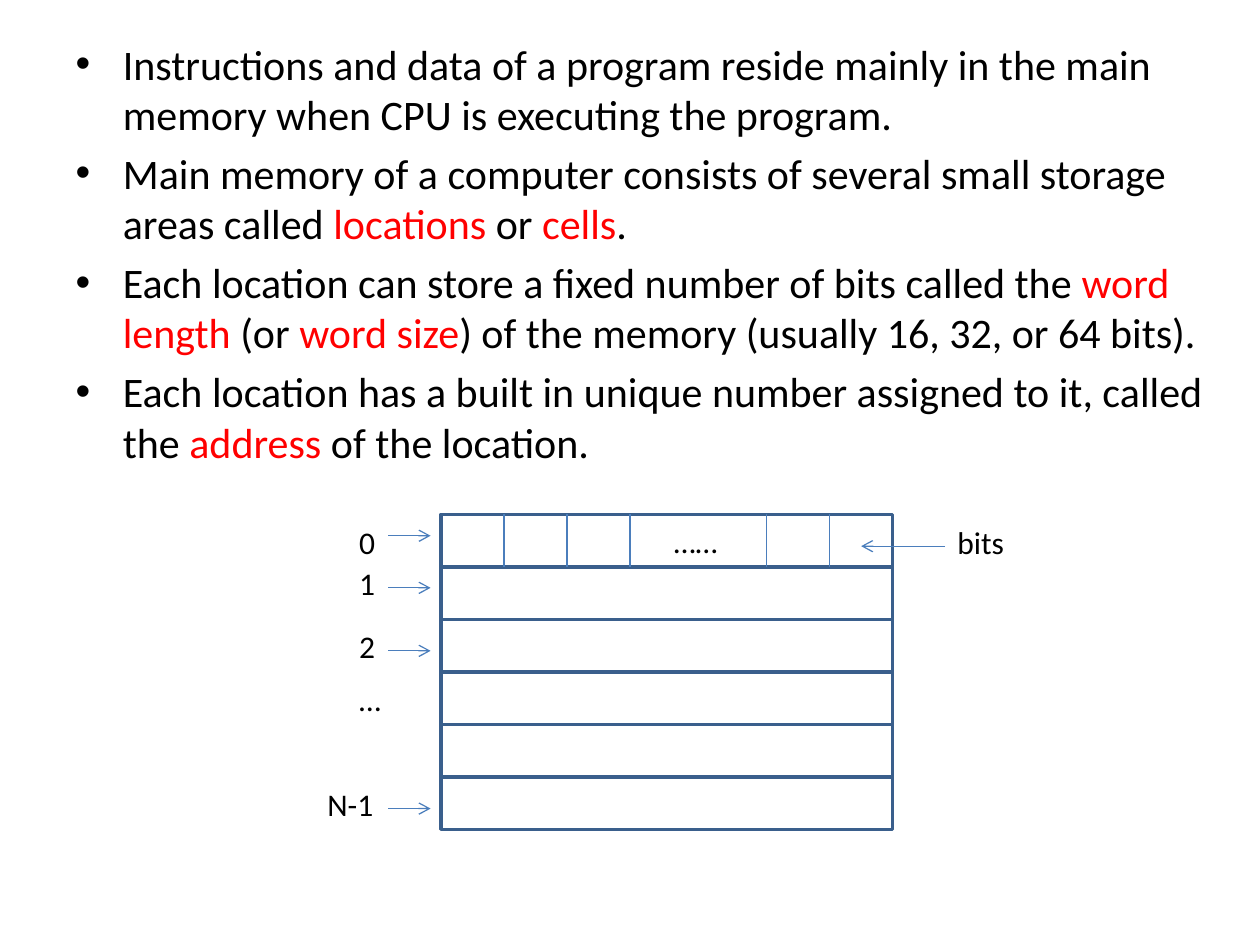
from dataclasses import dataclass

from pptx import Presentation
from pptx.dml.color import RGBColor
from pptx.enum.shapes import MSO_CONNECTOR as Connector, MSO_SHAPE as Shape
from pptx.enum.text import MSO_ANCHOR as Anchor, PP_ALIGN as Align
from pptx.oxml.ns import qn
from pptx.util import Cm, Pt
from lxml.etree import SubElement


@dataclass(frozen=True)
class Theme:
    """Colours and type sizes of the slide."""
    font: str = "Calibri"
    text: str = "000000"
    accent: str = "FF0000"
    paper: str = "FFFFFF"
    border: str = "3A5F8C"
    line: str = "4B7EBC"
    body_size: int = 24
    label_size: int = 18


THEME = Theme()

# Each bullet is a list of (text, is key term) runs.
BULLETS = [
    [("Instructions and data of a program reside mainly in the main memory "
      "when CPU is executing the program.", False)],
    [("Main memory of a computer consists of several small storage areas called ", False),
     ("locations", True), (" or ", False), ("cells", True), (".", False)],
    [("Each location can store a fixed number of bits called the ", False),
     ("word length", True), (" (or ", False), ("word size", True),
     (") of the memory (usually 16, 32, or 64 bits).", False)],
    [("Each location has a built in unique number assigned to it, called the ", False),
     ("address ", True), ("of the location.", False)],
]

# Text, left, top, width in centimetres.
LABELS = [
    ("0", 6.99, 10.41, 0.85),
    ("1", 6.99, 11.25, 0.85),
    ("2", 6.99, 12.52, 0.85),
    ("…", 6.99, 13.59, 0.85),
    ("N-1", 6.35, 15.7, 1.48),
    ("bits", 19.05, 10.41, 1.48),
]
LABEL_HEIGHT = 1.03

MEMORY_LEFT, MEMORY_TOP, MEMORY_WIDTH, MEMORY_HEIGHT = 8.89, 10.37, 9.1, 6.35
LOCATION_COUNT = 6
LOCATION_HEIGHT = MEMORY_HEIGHT / LOCATION_COUNT
BIT_WIDTH = 1.27
BITS_BEFORE_GAP, BITS_AFTER_GAP = 3, 2
GAP_RIGHT = 15.45
ADDRESS_ARROW_TOPS = [10.8, 11.85, 13.12, 16.3]
ADDRESS_ARROW_LEFT, ADDRESS_ARROW_RIGHT = 7.83, 8.68
BITS_ARROW = (19.05, 11.01, 17.36, 11.01)


def write(paragraph, text, size=THEME.label_size, color=THEME.text, align=None):
    """Append a formatted run to a paragraph."""
    run = paragraph.add_run()
    run.text = text
    run.font.name = THEME.font
    run.font.size = Pt(size)
    run.font.color.rgb = RGBColor.from_string(color)
    if align is not None:
        paragraph.alignment = align


def fill_body(slide):
    """Put the bullets in the body placeholder and drop the unused title."""
    title = slide.shapes.title.element
    title.getparent().remove(title)
    body = slide.placeholders[1]
    body.left, body.top, body.width, body.height = Cm(1.27), Cm(0.64), Cm(23.28), Cm(17.57)
    frame = body.text_frame
    for index, runs in enumerate(BULLETS):
        paragraph = frame.add_paragraph() if index else frame.paragraphs[0]
        for text, is_term in runs:
            write(paragraph, text, size=THEME.body_size,
                  color=THEME.accent if is_term else THEME.text)


def add_location(slide, index):
    """Draw one memory location and return its shape."""
    shape = slide.shapes.add_shape(
        Shape.RECTANGLE, Cm(MEMORY_LEFT), Cm(MEMORY_TOP + index * LOCATION_HEIGHT),
        Cm(MEMORY_WIDTH), Cm(LOCATION_HEIGHT))
    shape.shadow.inherit = False
    shape.fill.solid()
    shape.fill.fore_color.rgb = RGBColor.from_string(THEME.paper)
    shape.line.color.rgb = RGBColor.from_string(THEME.border)
    shape.line.width = Pt(2)
    return shape


def add_line(slide, x1, y1, x2, y2, arrow=False):
    """Draw a thin line, with an open arrowhead at its end if wanted."""
    line = slide.shapes.add_connector(Connector.STRAIGHT, Cm(x1), Cm(y1), Cm(x2), Cm(y2))
    line.line.color.rgb = RGBColor.from_string(THEME.line)
    line.line.width = Pt(0.75)
    if arrow:
        SubElement(line.line._get_or_add_ln(), qn("a:tailEnd"), type="arrow")
    SubElement(line.element.spPr, qn("a:effectLst"))


def add_label(slide, text, left, top, width):
    """Place a label beside the memory."""
    box = slide.shapes.add_textbox(Cm(left), Cm(top), Cm(width), Cm(LABEL_HEIGHT))
    box.text_frame.word_wrap = True
    write(box.text_frame.paragraphs[0], text)


def draw_memory(slide):
    """Draw the locations, and split the first one into bits."""
    locations = [add_location(slide, index) for index in range(LOCATION_COUNT)]
    frame = locations[0].text_frame
    frame.vertical_anchor = Anchor.MIDDLE
    frame.margin_left = Cm(1.42)
    write(frame.paragraphs[0], "……", align=Align.CENTER)
    dividers = [MEMORY_LEFT + BIT_WIDTH * (n + 1) for n in range(BITS_BEFORE_GAP)]
    dividers += [GAP_RIGHT + BIT_WIDTH * n for n in range(BITS_AFTER_GAP)]
    for x in dividers:
        add_line(slide, x, MEMORY_TOP, x, MEMORY_TOP + LOCATION_HEIGHT)


def main():
    """Build and save the slide."""
    presentation = Presentation()
    presentation.slide_width, presentation.slide_height = Cm(25.4), Cm(19.05)
    slide = presentation.slides.add_slide(presentation.slide_layouts[1])
    fill_body(slide)
    draw_memory(slide)
    for label in LABELS:
        add_label(slide, *label)
    for y in ADDRESS_ARROW_TOPS:
        add_line(slide, ADDRESS_ARROW_LEFT, y, ADDRESS_ARROW_RIGHT, y, arrow=True)
    add_line(slide, *BITS_ARROW, arrow=True)
    presentation.save("out.pptx")


main()
